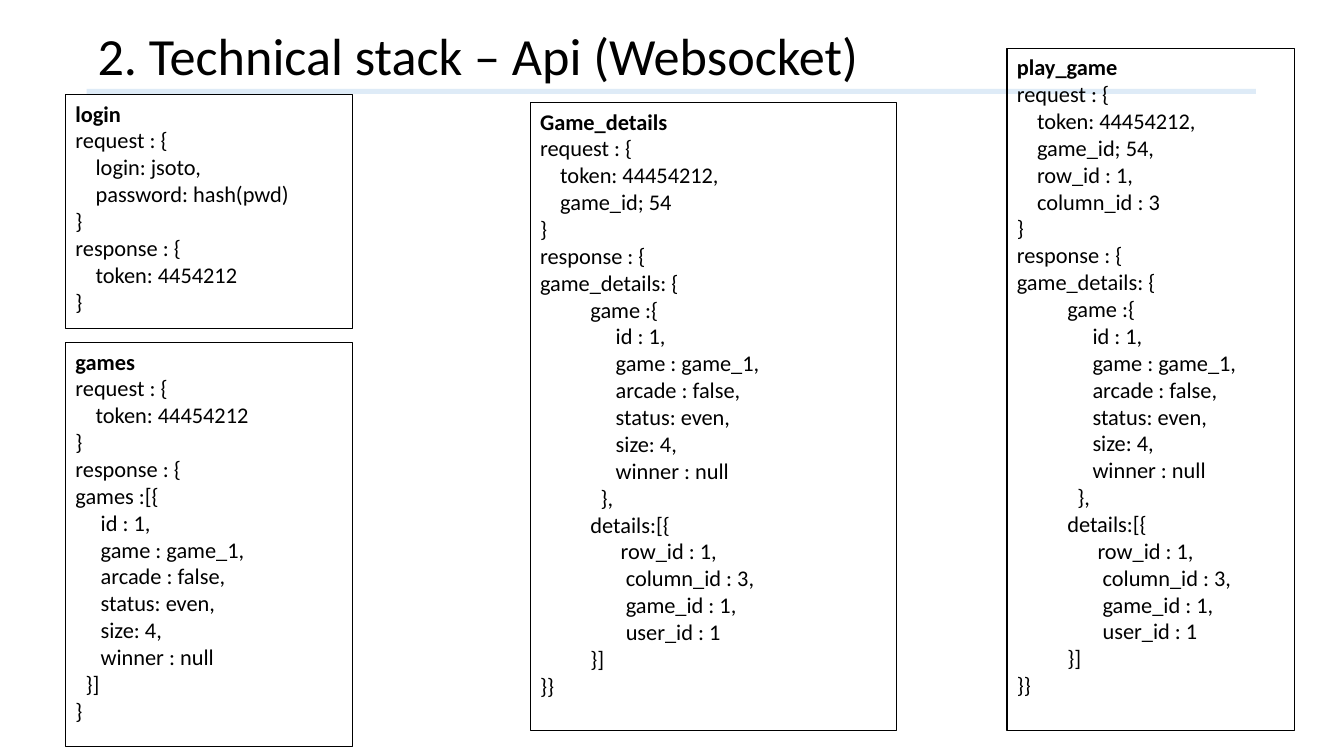
from pptx import Presentation
from pptx.dml.color import RGBColor
from pptx.enum.shapes import MSO_SHAPE
from pptx.enum.text import MSO_ANCHOR, PP_ALIGN
from pptx.util import Pt

FONT = "Calibri"
BLACK = "000000"
LEFT, NARROW = 46.8, 205.2

# Message bodies: plain strings sit at the margin, nested tuples one level in
FIELDS = (
    "     id : 1,",
    "     game : game_1,",
    "     arcade : false,",
    "     status: even,",
    "     size: 4,",
    "     winner : null",
)
DETAILS = (
    "response : {",
    "game_details: {",
    (
        "game :{",
        *FIELDS,
        "  },",
        "details:[{",
        "      row_id : 1,",
        "       column_id : 3,",
        "       game_id : 1,",
        "       user_id : 1",
        "}]",
    ),
    "}}",
)
LOGIN = (
    "login",
    "request : {",
    "    login: jsoto,",
    "    password: hash(pwd)",
    "}",
    "response : {",
    "    token: 4454212",
    "}",
)
GAMES = (
    "games",
    "request : {",
    "    token: 44454212",
    "}",
    "response : {",
    "games :[{",
    *FIELDS,
    "  }]",
    "}",
)
GAME = (
    "Game_details",
    "request : {",
    "    token: 44454212,",
    "    game_id; 54",
    "}",
    *DETAILS,
)
PLAY = (
    "play_game",
    "request : {",
    "    token: 44454212,",
    "    game_id; 54,",
    "    row_id : 1,",
    "    column_id : 3",
    "}",
    *DETAILS,
)

# Left, top, width, height of each message box
BOXES = (
    ((LEFT, 67.7, NARROW, 167), LOGIN),
    ((LEFT, 244.8, NARROW, 288.7), GAMES),
    ((378.7, 73.4, 261.4, 448.6), GAME),
    ((719.3, 34.6, NARROW, 487.4), PLAY),
)


def color(code):
    return RGBColor.from_string(code)


def style(para, size, bold=False):
    for run in para.runs:
        run.font.name = FONT
        run.font.size = Pt(size)
        run.font.bold = bold
        run.font.color.rgb = color(BLACK)


def add_rect(slide, place):
    rect = slide.shapes.add_shape(MSO_SHAPE.RECTANGLE, *map(Pt, place))
    rect.shadow.inherit = False
    return rect


def add_rule(slide, place, fill):
    rule = add_rect(slide, place)
    rule.fill.solid()
    rule.fill.fore_color.rgb = color(fill)
    rule.line.fill.background()


def add_title(slide, place, text):
    box = slide.shapes.add_textbox(*map(Pt, place))
    frame = box.text_frame
    frame.word_wrap = True
    frame.vertical_anchor = MSO_ANCHOR.MIDDLE
    frame.text = text
    para = frame.paragraphs[0]
    para.line_spacing = 0.9
    style(para, 37.3)


def flatten(lines, level=0):
    for line in lines:
        if isinstance(line, tuple):
            yield from flatten(line, level + 1)
        else:
            yield line, level


def add_code(slide, place, lines):
    box = add_rect(slide, place)
    box.fill.background()
    box.line.color.rgb = color(BLACK)
    box.line.width = Pt(0.75)
    frame = box.text_frame
    frame.word_wrap = True
    frame.vertical_anchor = MSO_ANCHOR.TOP
    rows = list(flatten(lines))
    frame.text = "\n".join(text for text, level in rows)
    for index, (para, (text, level)) in enumerate(zip(frame.paragraphs, rows)):
        para.alignment = PP_ALIGN.LEFT
        if level:
            para.level = level
            props = para._p.get_or_add_pPr()
            props.set("marL", str(Pt(36 * level)))
            props.set("indent", "0")
        style(para, 16, bold=index == 0)


def main():
    deck = Presentation()
    deck.slide_width, deck.slide_height = Pt(960), Pt(540)
    slide = deck.slides.add_slide(deck.slide_layouts[6])

    # Heading and the rule under it
    add_rule(slide, (61.9, 63.4, 835.2, 3.6), "DEEBF7")
    add_title(slide, (62.6, 18, 835.2, 48.2),
              "2. Technical stack – Api (Websocket)")

    # Message boxes
    for place, lines in BOXES:
        add_code(slide, place, lines)

    deck.save("out.pptx")


if __name__ == "__main__":
    main()
